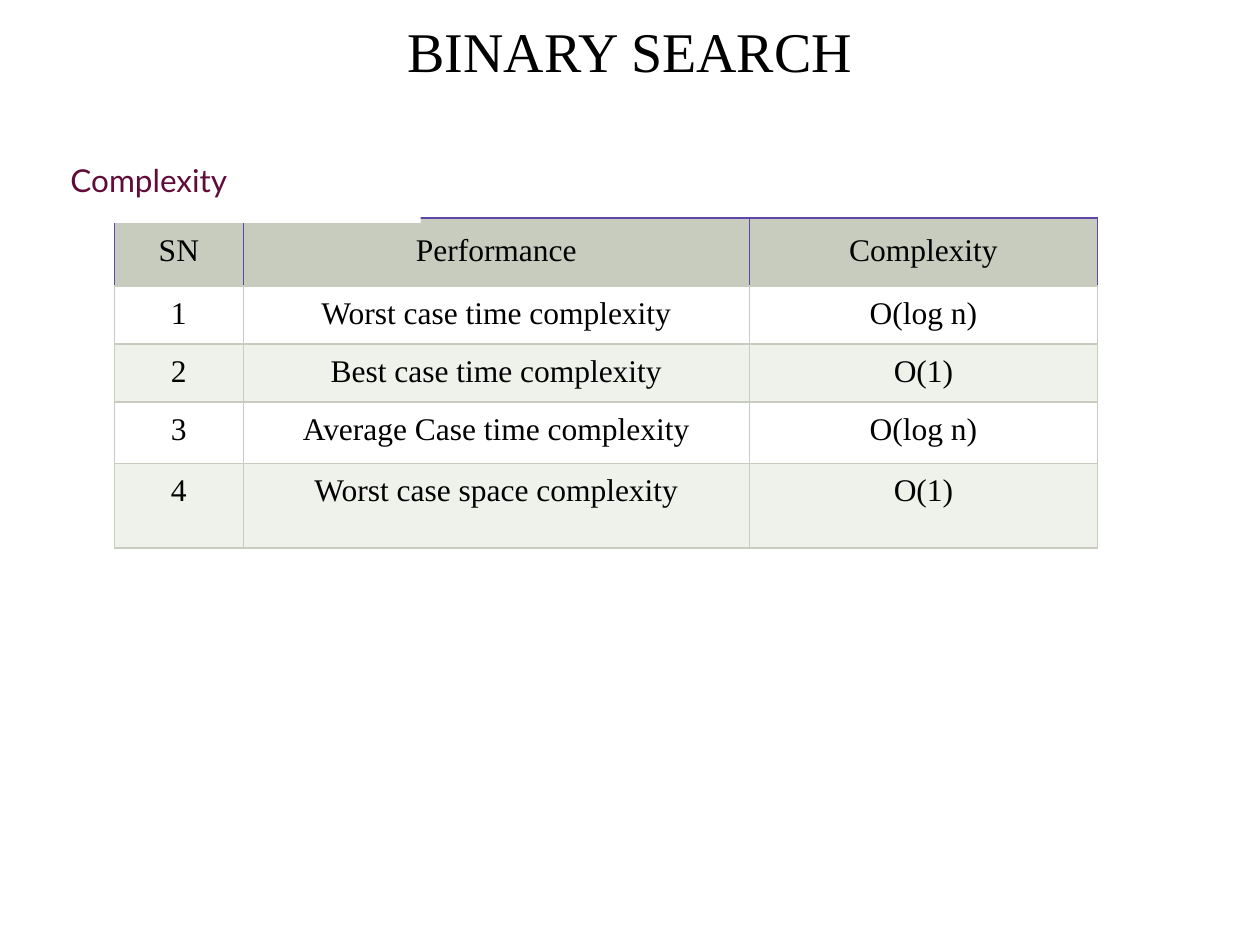
from lxml import etree
from pptx import Presentation, util as u
from pptx.dml.color import RGBColor
from pptx.enum import shapes, text
from pptx.oxml.ns import qn

WIDTH, HEIGHT = u.Inches(10), u.Inches(7.5)
BLACK = RGBColor(0x00, 0x00, 0x00)
WHITE = RGBColor(0xFF, 0xFF, 0xFF)
MAROON = RGBColor(0x61, 0x0B, 0x38)
SAGE = RGBColor(0xC7, 0xCC, 0xBE)
PALE_SAGE = RGBColor(0xEF, 0xF1, 0xEB)
VIOLET = RGBColor(0x60, 0x47, 0xA7)
SERIF, SANS = "Times New Roman", "Lato"

COLUMN_WIDTHS = [1.02, 4.02, 2.76]
ROW_HEIGHTS = [0.53, 0.44, 0.44, 0.49, 0.67]
ROWS = [
    ("SN", "Performance", "Complexity"),
    ("1", "Worst case time complexity", "O(log n)"),
    ("2", "Best case time complexity", "O(1)"),
    ("3", "Average Case time complexity", "O(log n)"),
    ("4", "Worst case space complexity", "O(1)"),
]


def share(left, top, width, height):
    """Turn shares of the slide's size into lengths."""
    return (int(WIDTH * left), int(HEIGHT * top),
            int(WIDTH * width), int(HEIGHT * height))


def write(frame, words, size=18, font=SERIF, color=BLACK,
          align=text.PP_ALIGN.CENTER):
    paragraph = frame.paragraphs[0]
    paragraph.alignment = align
    run = paragraph.add_run()
    run.text = words
    run.font.size = u.Pt(size)
    run.font.name = font
    run.font.color.rgb = color


def set_margins(item, inches):
    margin = u.Inches(inches)
    item.margin_left = item.margin_right = margin
    item.margin_top = item.margin_bottom = margin


def prepare_frame(shape):
    frame = shape.text_frame
    frame.word_wrap = True
    frame.vertical_anchor = text.MSO_ANCHOR.MIDDLE
    set_margins(frame, 0.05)
    return frame


def set_borders(cell, side_color, bottom_color):
    properties = cell._tc.get_or_add_tcPr()
    colors = {"lnL": side_color, "lnR": side_color,
              "lnT": side_color, "lnB": bottom_color}
    for position, (name, color) in enumerate(colors.items()):
        line = etree.Element(qn("a:" + name), w=str(u.Pt(0.75)))
        fill = etree.SubElement(line, qn("a:solidFill"))
        etree.SubElement(fill, qn("a:srgbClr"), val=str(color))
        properties.insert(position, line)


def add_title(slide, words):
    box = slide.shapes.add_textbox(*share(0.05, 0.007, 0.9, 0.092))
    write(prepare_frame(box), words, size=32)


def add_complexity_table(slide):
    place = (u.Inches(0.91), u.Inches(1.73),
             u.Inches(sum(COLUMN_WIDTHS)), u.Inches(sum(ROW_HEIGHTS)))
    table = slide.shapes.add_table(len(ROWS), len(COLUMN_WIDTHS), *place).table
    for column, width in zip(table.columns, COLUMN_WIDTHS):
        column.width = u.Inches(width)
    for row, height in zip(table.rows, ROW_HEIGHTS):
        row.height = u.Inches(height)

    for row_number, row in enumerate(ROWS):
        header = row_number == 0
        band = WHITE if row_number % 2 else PALE_SAGE
        for column_number, words in enumerate(row):
            cell = table.cell(row_number, column_number)
            set_margins(cell, 0.12 if header else 0.08)
            cell.fill.solid()
            cell.fill.fore_color.rgb = SAGE if header else band
            set_borders(cell, VIOLET if header else SAGE, SAGE)
            write(cell.text_frame, words)


def add_heading(slide, words):
    panel = slide.shapes.add_shape(shapes.MSO_SHAPE.RECTANGLE,
                                   *share(0.051, 0.144, 0.283, 0.092))
    panel.shadow.inherit = False
    panel.fill.solid()
    panel.fill.fore_color.rgb = WHITE
    panel.line.fill.background()
    write(prepare_frame(panel), words, font=SANS, color=MAROON,
          align=text.PP_ALIGN.LEFT)


def main():
    presentation = Presentation()
    presentation.slide_width, presentation.slide_height = WIDTH, HEIGHT
    slide = presentation.slides.add_slide(presentation.slide_layouts[6])

    add_title(slide, "BINARY SEARCH")
    add_complexity_table(slide)
    # The white heading panel overlaps the table's top edge
    add_heading(slide, "Complexity")

    presentation.save("out.pptx")


if __name__ == "__main__":
    main()
